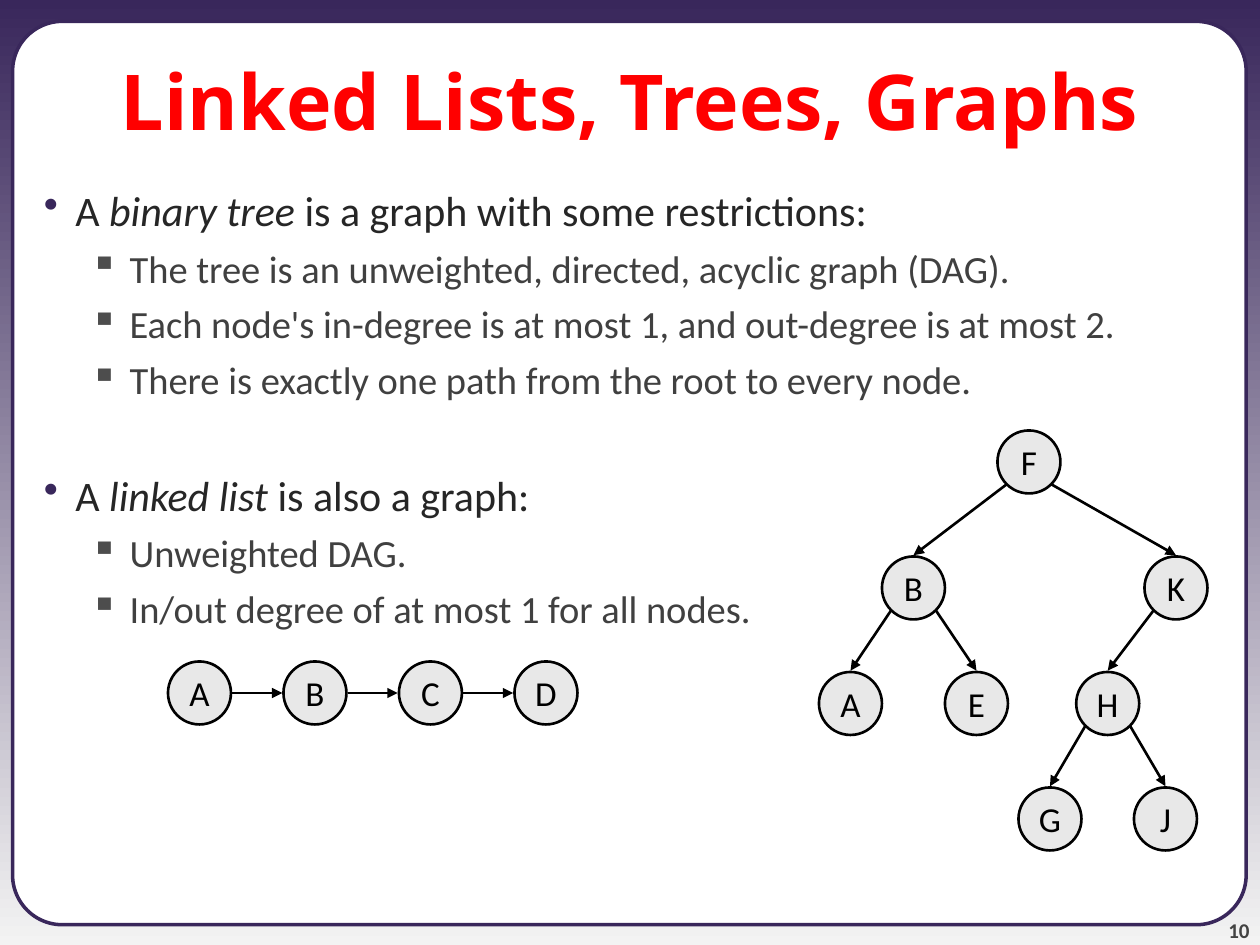
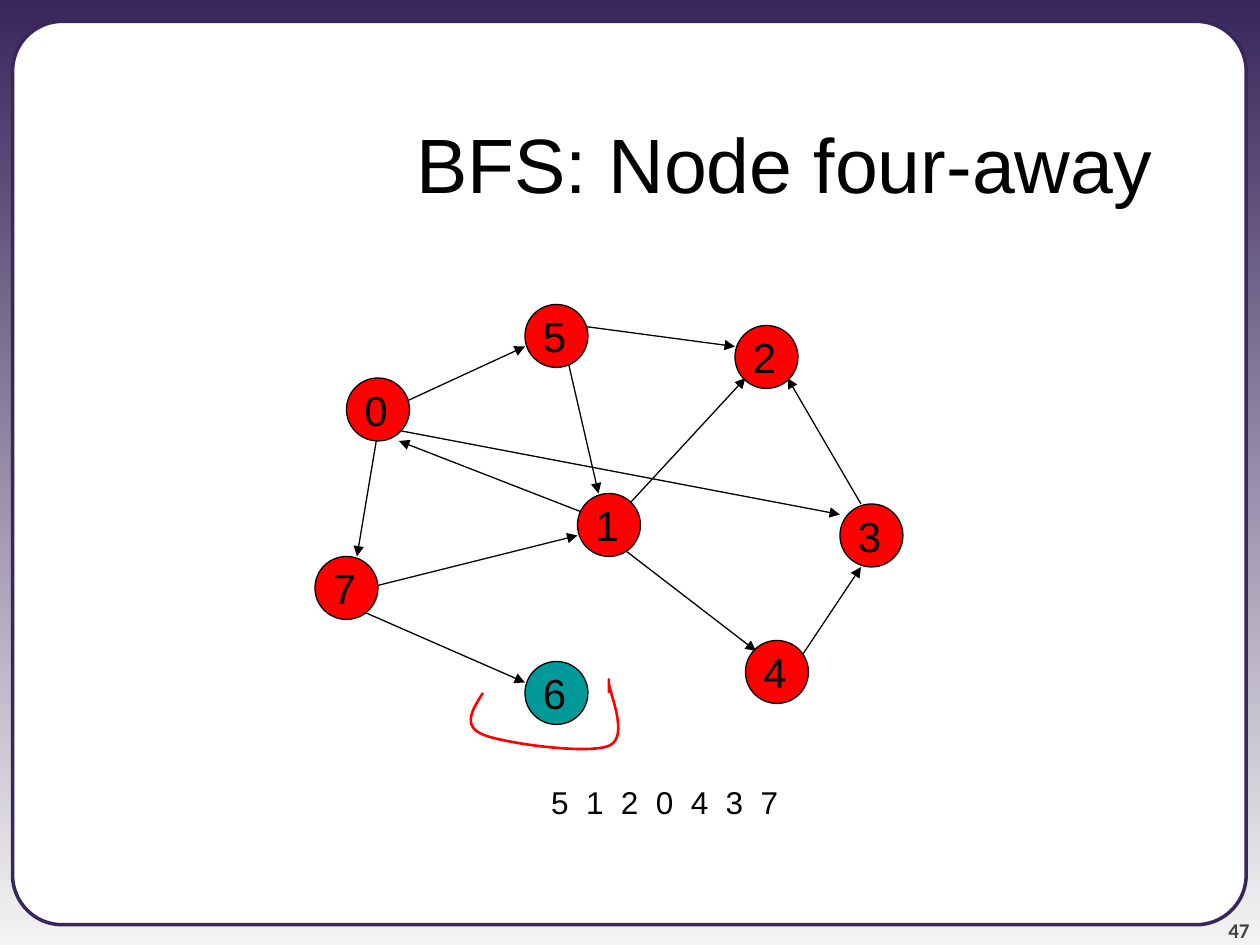
from lxml.etree import SubElement
from pptx import Presentation
from pptx.dml.color import RGBColor
from pptx.enum.shapes import MSO_CONNECTOR, MSO_SHAPE
from pptx.enum.text import MSO_ANCHOR, PP_ALIGN
from pptx.oxml.ns import qn
from pptx.util import Pt

PURPLE = RGBColor(0x39, 0x27, 0x5B)
PALE = RGBColor(0xF3, 0xF3, 0xF3)
WHITE = RGBColor(0xFF, 0xFF, 0xFF)
BLACK = RGBColor(0x00, 0x00, 0x00)
RED = RGBColor(0xFF, 0x00, 0x00)
TEAL = RGBColor(0x00, 0x99, 0x99)
NODE_GREY = RGBColor(0xE8, 0xE8, 0xE8)
NUMBER_GREY = RGBColor(0x42, 0x42, 0x42)
HEADING_GREY = RGBColor(0x26, 0x26, 0x26)
DETAIL_GREY = RGBColor(0x40, 0x40, 0x40)
BULLET_GREY = RGBColor(0x4D, 0x4D, 0x4D)

NODE_SIZE = 36
DIAGONAL = 12.73
GAP = 0.7

HEADING = dict(indent=36, hanging=18, bullet="•", bullet_color=PURPLE, size=24, color=HEADING_GREY, before=6)
DETAIL = dict(indent=67, hanging=22.5, bullet="▪", bullet_color=BULLET_GREY, size=22, color=DETAIL_GREY, before=5.5)
SECTION = HEADING | dict(before=38.3)

GRAPH_NODES = {"7": (180, 318), "1": (330, 282), "5": (300, 174), "4": (426, 366),
               "3": (480, 288), "2": (420, 186), "6": (300, 378), "0": (198, 216)}
GRAPH_EDGES = [
    ((354, 294), (426, 216)), ((324, 204), (342, 282)), ((210, 336), (330, 306)),
    ((204, 348), (300, 390)), ((216, 246), (204, 318)), ((354, 312), (432, 372)),
    ((456, 378), (492, 324)), ((492, 288), (450, 216)), ((330, 186), (420, 198)),
    ((228, 246), (480, 294)), ((336, 294), (228, 252)), ((222, 234), (300, 198)),
]
TREE_NODES = {"F": (570, 246), "B": (504, 318), "K": (654, 318), "A": (468, 384),
              "E": (540, 384), "H": (615, 384), "G": (582, 450), "J": (648, 450)}
TREE_EDGES = ["FB", "FK", "BA", "BE", "KH", "HG", "HJ"]
BRACKET_START = (276, 396)
BRACKET_CURVES = [
    ((270, 405.4), (264, 414.7), (276, 419.8)),
    ((288, 424.8), (336, 431.3), (348, 426.2)),
    ((360, 421.2), (348, 395.3), (348, 390.2)),
    ((348, 385.2), (348, 390.2), (348, 396)),
]


def add_run(paragraph, text, font, size, color, bold=False, italic=False):
    run = paragraph.add_run()
    run.text = text
    run.font.name = font
    run.font.size = Pt(size)
    run.font.color.rgb = color
    run.font.bold = bold
    run.font.italic = italic
    return run


def add_text_box(slide, left, top, width, height, anchor=MSO_ANCHOR.TOP):
    frame = slide.shapes.add_textbox(Pt(left), Pt(top), Pt(width), Pt(height)).text_frame
    frame.word_wrap = True
    frame.vertical_anchor = anchor
    return frame


def add_label(frame, text, align, *style, **emphasis):
    paragraph = frame.paragraphs[0]
    paragraph.alignment = align
    return add_run(paragraph, text, *style, **emphasis)


def style_shape(shape, fill, line, width):
    shape.shadow.inherit = False
    if fill is None:
        shape.fill.background()
    else:
        shape.fill.solid()
        shape.fill.fore_color.rgb = fill
    shape.line.color.rgb = line
    shape.line.width = Pt(width)


def add_framed_slide(presentation, number):
    slide = presentation.slides.add_slide(presentation.slide_layouts[6])
    fill = slide.background.fill
    fill.gradient()
    fill.gradient_angle = 270
    for stop, color in zip(fill.gradient_stops, (PURPLE, PALE)):
        stop.color.rgb = color
    panel = slide.shapes.add_shape(MSO_SHAPE.ROUNDED_RECTANGLE, Pt(7.2), Pt(12.24), Pt(704.9), Pt(516.2))
    panel.adjustments[0] = 0.055
    style_shape(panel, WHITE, PURPLE, 2)
    frame = add_text_box(slide, 654, 510, 60, 28.5, MSO_ANCHOR.BOTTOM)
    frame.margin_left = frame.margin_right = frame.margin_top = frame.margin_bottom = 0
    add_label(frame, number, PP_ALIGN.RIGHT, "Calibri", 12, NUMBER_GREY, bold=True)
    return slide


def add_title(slide, text, box, align, font, color, bold=False):
    frame = add_text_box(slide, *box, MSO_ANCHOR.MIDDLE)
    add_label(frame, text, align, font, 44, color, bold=bold)


def add_bullet(paragraph, style, pieces, first):
    properties = paragraph._p.get_or_add_pPr()
    properties.set("marL", str(Pt(style["indent"])))
    properties.set("indent", str(-Pt(style["hanging"])))
    bullet_color = SubElement(properties, qn("a:buClr"))
    SubElement(bullet_color, qn("a:srgbClr")).set("val", str(style["bullet_color"]))
    SubElement(properties, qn("a:buChar")).set("char", style["bullet"])
    if not first:
        paragraph.space_before = Pt(style["before"])
    for index, piece in enumerate(pieces):
        add_run(paragraph, piece, "Calibri", style["size"], style["color"], italic=index == 1)


def add_bullets(slide, box, items):
    frame = add_text_box(slide, *box)
    for index, (style, *pieces) in enumerate(items):
        paragraph = frame.add_paragraph() if index else frame.paragraphs[0]
        add_bullet(paragraph, style, pieces, index == 0)


def add_arrow(slide, start, end, width):
    arrow = slide.shapes.add_connector(MSO_CONNECTOR.STRAIGHT, *map(Pt, start + end))
    arrow.line.color.rgb = BLACK
    arrow.line.width = Pt(width)
    SubElement(arrow.line._get_or_add_ln(), qn("a:tailEnd")).set("type", "triangle")
    SubElement(arrow._element.spPr, qn("a:effectLst"))


def add_node(slide, label, corner, fill, line_width, align, font, size):
    node = slide.shapes.add_shape(MSO_SHAPE.OVAL, *map(Pt, corner), Pt(NODE_SIZE), Pt(NODE_SIZE))
    style_shape(node, fill, BLACK, line_width)
    node.text_frame.word_wrap = False
    node.text_frame.vertical_anchor = MSO_ANCHOR.MIDDLE
    add_label(node.text_frame, label, align, font, size, BLACK)


def add_grey_node(slide, label, corner):
    add_node(slide, label, corner, NODE_GREY, 1.5, PP_ALIGN.CENTER, "Calibri", 20)


def add_tree(slide):
    radius = NODE_SIZE / 2
    for label, corner in TREE_NODES.items():
        add_grey_node(slide, label, corner)
    for parent, child in TREE_EDGES:
        (parent_left, parent_top), (child_left, child_top) = TREE_NODES[parent], TREE_NODES[child]
        side = DIAGONAL if child_left > parent_left else -DIAGONAL
        start = (parent_left + radius + side, parent_top + radius + DIAGONAL)
        add_arrow(slide, start, (child_left + radius, child_top - GAP), 1.5)


def add_linked_list(slide, labels, left, top, pitch):
    middle = top + NODE_SIZE / 2
    for index, label in enumerate(labels):
        node_left = left + index * pitch
        add_grey_node(slide, label, (node_left, top))
        if index:
            start = (node_left - pitch + NODE_SIZE + GAP, middle)
            add_arrow(slide, start, (node_left - GAP, middle), 1.5)


def curve_points(start, curves, steps=16):
    for first, second, end in curves:
        for step in range(1, steps + 1):
            t = step / steps
            u = 1 - t
            yield tuple(
                Pt(u**3 * a + 3 * u * u * t * b + 3 * u * t * t * c + t**3 * d)
                for a, b, c, d in zip(start, first, second, end)
            )
        start = end


def add_bracket(slide):
    builder = slide.shapes.build_freeform(*map(Pt, BRACKET_START))
    builder.add_line_segments(curve_points(BRACKET_START, BRACKET_CURVES), close=False)
    style_shape(builder.convert_to_shape(), None, RED, 1.5)


def build_tree_slide(presentation):
    slide = add_framed_slide(presentation, "10")
    add_title(slide, "Linked Lists, Trees, Graphs", (0, 12, 720, 90), PP_ALIGN.CENTER, "Noto Sans", RED, bold=True)
    add_bullets(slide, (0, 102, 720, 438), [
        (HEADING, "A ", "binary tree", " is a graph with some restrictions:"),
        (DETAIL, "The tree is an unweighted, directed, acyclic graph (DAG)."),
        (DETAIL, "Each node's in-degree is at most 1, and out-degree is at most 2."),
        (DETAIL, "There is exactly one path from the root to every node."),
        (SECTION, "A ", "linked list", " is also a graph:"),
        (DETAIL, "Unweighted DAG."),
        (DETAIL, "In/out degree of at most 1 for all nodes."),
    ])
    add_tree(slide)
    add_linked_list(slide, "ABCD", 96, 378, 66)


def build_search_slide(presentation):
    slide = add_framed_slide(presentation, "47")
    add_title(slide, "BFS: Node four-away", (54, 48, 612, 90), PP_ALIGN.RIGHT, "Arial", BLACK)
    for start, end in GRAPH_EDGES:
        add_arrow(slide, start, end, 0.75)
    for label, corner in GRAPH_NODES.items():
        fill = TEAL if label == "6" else RED
        add_node(slide, label, corner, fill, 0.75, PP_ALIGN.RIGHT, "Arial", 24)
    frame = add_text_box(slide, 270, 444, 182, 29)
    visited = add_label(frame, "5 1 2 0 4 3 7", PP_ALIGN.RIGHT, "Arial", 18, BLACK)
    visited.font._element.set("spc", "250")
    add_bracket(slide)


def main():
    presentation = Presentation()
    presentation.slide_width = Pt(720)
    presentation.slide_height = Pt(540)
    build_tree_slide(presentation)
    build_search_slide(presentation)
    presentation.save("out.pptx")


if __name__ == "__main__":
    main()
